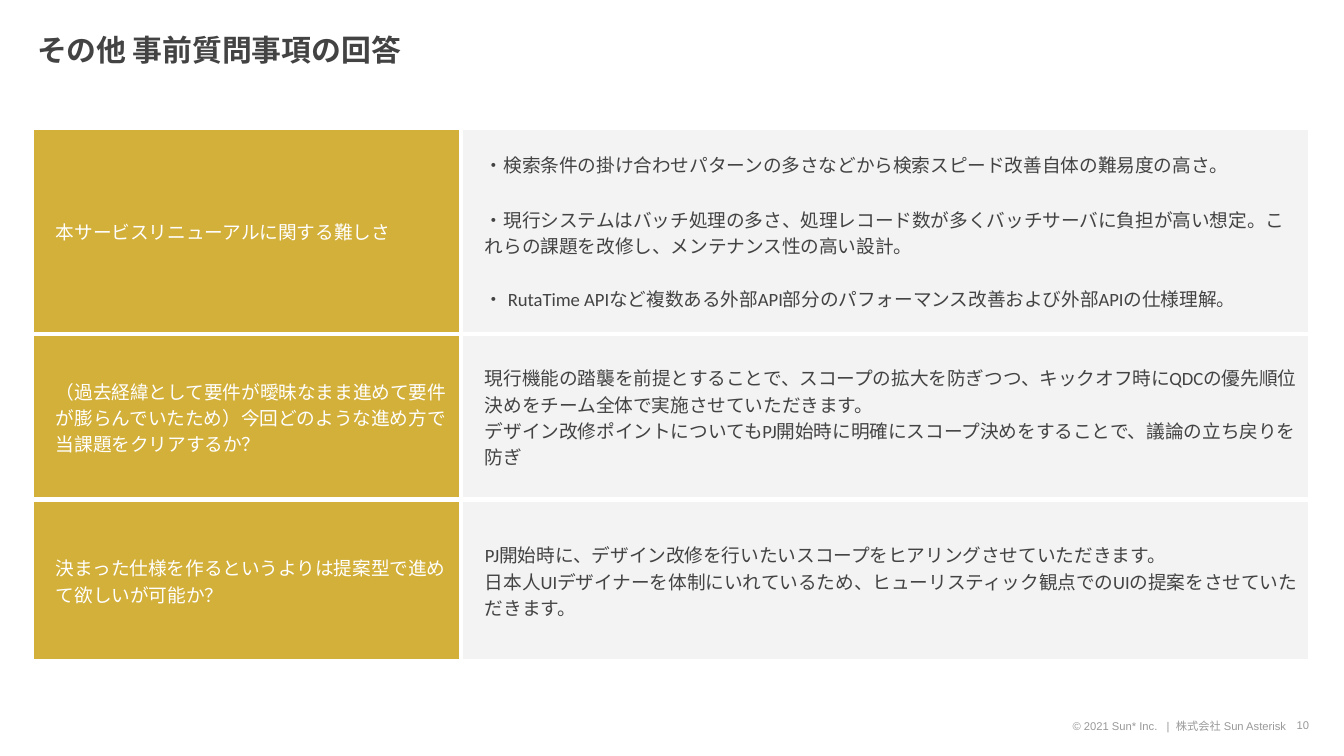
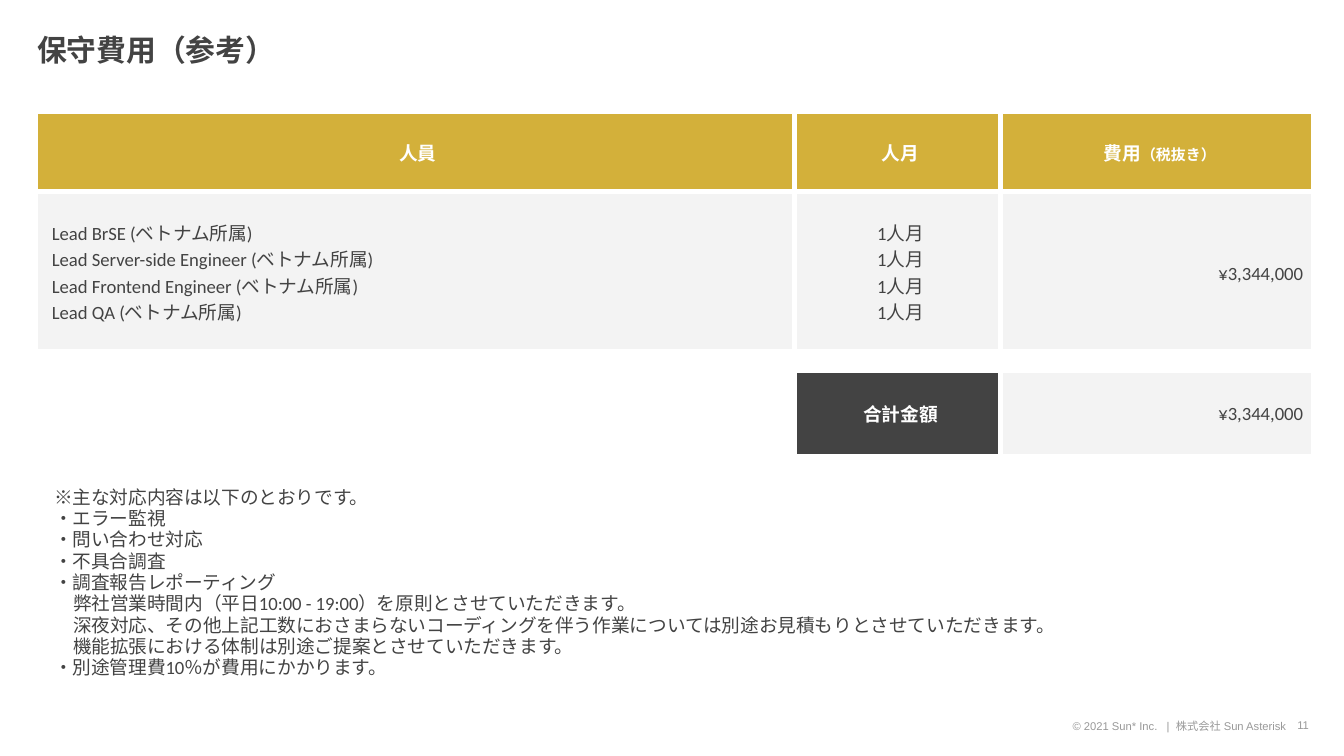
import pptx
import pptx.util
import pptx.dml.color
import pptx.enum.text
import pptx.oxml
import pptx.oxml.ns

EMU_PER_PX = 914400 / 134.4
GOLD, GREY, DARK, WHITE, FOOTER_GREY = "D3B03A", "F3F3F3", "434343", "FFFFFF", "999999"
ALIGN = pptx.enum.text.PP_ALIGN
MIDDLE = pptx.enum.text.MSO_ANCHOR.MIDDLE
TOP = pptx.enum.text.MSO_ANCHOR.TOP

BASE = {"font": "Calibri", "size": 10, "color": DARK, "bold": False,
        "align": ALIGN.LEFT, "line": 1.15, "before": 0, "indent": 0}
TITLE = {"size": 16, "bold": True, "line": 0.9}
FOOTER = {"font": "Arial", "size": 6, "color": FOOTER_GREY, "align": ALIGN.RIGHT}
HEAD = {"color": WHITE, "bold": True, "align": ALIGN.CENTER, "indent": 5}


def px(n):
    return pptx.util.Emu(round(n * EMU_PER_PX))


def rgb(value):
    return pptx.dml.color.RGBColor.from_string(value)


def add_run(p, text, f):
    r = p.add_run()
    r.text = text
    r.font.color.rgb = rgb(f["color"])
    values = {"name": f["font"], "size": pptx.util.Pt(f["size"]), "bold": f["bold"]}
    for name, value in values.items():
        setattr(r.font, name, value)
    for tag in ("a:ea", "a:cs"):
        el = pptx.oxml.parse_xml(f'<{tag} {pptx.oxml.ns.nsdecls("a")}/>')
        el.set("typeface", f["font"])
        r._r.get_or_add_rPr().append(el)


def write(tf, paragraphs, **style):
    for i, item in enumerate(paragraphs):
        para = item if isinstance(item, dict) else {"text": item}
        f = {**BASE, **style, **para}
        p = tf.paragraphs[0] if i == 0 else tf.add_paragraph()
        pPr = p._p.get_or_add_pPr()
        pPr.set("marL", str(px(f["indent"])))
        pPr.set("indent", "0")
        pPr.append(pptx.oxml.parse_xml(f'<a:buNone {pptx.oxml.ns.nsdecls("a")}/>'))
        values = {"alignment": f["align"], "line_spacing": f["line"],
                  "space_before": pptx.util.Pt(f["before"]), "space_after": pptx.util.Pt(0)}
        for name, value in values.items():
            setattr(p, name, value)
        add_run(p, f["text"], f)
        if "small" in f:
            add_run(p, f["small"], {**f, "size": 8})


def set_margins(target, x, y):
    for side, value in {"left": x, "right": x, "top": y, "bottom": y}.items():
        setattr(target, f"margin_{side}", px(value))


def fill_frame(sp, box, paragraphs, inset, anchor=MIDDLE, **style):
    for name, value in zip(("left", "top", "width", "height"), box):
        setattr(sp, name, px(value))
    tf = sp.text_frame
    values = {"word_wrap": True, "vertical_anchor": anchor,
              "auto_size": pptx.enum.text.MSO_AUTO_SIZE.NONE}
    for name, value in values.items():
        setattr(tf, name, value)
    set_margins(tf, *inset)
    write(tf, paragraphs, **style)


def add_label(s, box, text, inset, anchor):
    sp = s.shapes.add_textbox(0, 0, 0, 0)
    fill_frame(sp, box, [text], inset, anchor, **FOOTER)


def add_page(prs, layout, title, number):
    s = prs.slides.add_slide(prs.slide_layouts[layout])
    fill_frame(s.shapes.title, (24, 13, 1176, 77), [title], (13, 7), **TITLE)
    add_label(s, (1279, 712, 43, 23), str(number), (13, 7), MIDDLE)
    add_label(s, (1042, 704, 257, 39), "© 2021 Sun* Inc.   |  株式会社 Sun Asterisk", (13, 13), TOP)
    return s


def add_grid(s, left, top, widths, heights):
    frame = s.shapes.add_table(len(heights), len(widths), px(left), px(top),
                               px(sum(widths)), px(sum(heights)))
    table = frame.table
    table.first_row = table.horz_banding = False
    for column, width in zip(table.columns, widths):
        column.width = px(width)
    for row, height in zip(table.rows, heights):
        row.height = px(height)
    return table


def fill_cell(cell, background, paragraphs=(), inset=(11, 5), **style):
    tcPr = cell._tc.get_or_add_tcPr()
    for side in "LRTB":
        tcPr.append(pptx.oxml.parse_xml(
            f'<a:ln{side} {pptx.oxml.ns.nsdecls("a")} w="38100">'
            f'<a:solidFill><a:srgbClr val="{WHITE}"/></a:solidFill></a:ln{side}>'))
    cell.fill.solid()
    cell.fill.fore_color.rgb = rgb(background)
    cell.vertical_anchor = MIDDLE
    if paragraphs:
        set_margins(cell, *inset)
        write(cell.text_frame, paragraphs, **style)
    else:
        set_margins(cell, 0, 0)
        cell.text_frame.paragraphs[0]._p.get_or_add_endParaRPr().set("sz", "100")


def add_answers(prs):
    s = add_page(prs, 5, "その他 事前質問事項の回答", 10)
    answers = [
        ("本サービスリニューアルに関する難しさ",
         ["・検索条件の掛け合わせパターンの多さなどから検索スピード改善自体の難易度の高さ。",
          {"text": "・現行システムはバッチ処理の多さ、処理レコード数が多くバッチサーバに負担が高い想定。"
                   "これらの課題を改修し、メンテナンス性の高い設計。", "before": 16},
          {"text": "・ RutaTime APIなど複数ある外部API部分のパフォーマンス改善および外部APIの仕様理解。",
           "before": 14}]),
        ("（過去経緯として要件が曖昧なまま進めて要件が膨らんでいたため）"
         "今回どのような進め方で当課題をクリアするか？",
         ["現行機能の踏襲を前提とすることで、スコープの拡大を防ぎつつ、"
          "キックオフ時にQDCの優先順位決めをチーム全体で実施させていただきます。",
          "デザイン改修ポイントについてもPJ開始時に明確にスコープ決めをすることで、議論の立ち戻りを防ぎ"]),
        ("決まった仕様を作るというよりは提案型で進めて欲しいが可能か？",
         ["PJ開始時に、デザイン改修を行いたいスコープをヒアリングさせていただきます。",
          "日本人UIデザイナーを体制にいれているため、"
          "ヒューリスティック観点でのUIの提案をさせていただきます。"]),
    ]
    table = add_grid(s, 32, 128, (429, 849), (206, 166, 162))
    for i, (question, answer) in enumerate(answers):
        fill_cell(table.cell(i, 0), GOLD, [question], (13, 13), color=WHITE, indent=11)
        fill_cell(table.cell(i, 1), GREY, answer, (13, 13), indent=11)


def add_costs(prs):
    s = add_page(prs, 1, "保守費用（参考）", 11)
    roles = ["Lead BrSE", "Lead Server-side Engineer", "Lead Frontend Engineer", "Lead QA"]
    staff = [f"{role} (ベトナム所属)" for role in roles]
    price = ["¥3,344,000"]
    table = add_grid(s, 36, 112, (759, 206, 313), (80, 160, 19, 86))
    headings = ["人員", "人月", {"text": "費用", "small": "（税抜き）"}]
    for i, heading in enumerate(headings):
        fill_cell(table.cell(0, i), GOLD, [heading], **HEAD)
        fill_cell(table.cell(2, i), WHITE)
    fill_cell(table.cell(1, 0), GREY, staff, indent=5)
    fill_cell(table.cell(1, 1), GREY, ["1人月"] * len(staff), align=ALIGN.CENTER, indent=5)
    fill_cell(table.cell(1, 2), GREY, price, align=ALIGN.RIGHT)
    fill_cell(table.cell(3, 0), WHITE)
    fill_cell(table.cell(3, 1), DARK, ["合計金額"], **HEAD)
    fill_cell(table.cell(3, 2), GREY, price, align=ALIGN.RIGHT, line=1.0)

    details = ["弊社営業時間内（平日10:00 - 19:00）を原則とさせていただきます。",
               "深夜対応、その他上記工数におさまらないコーディングを伴う作業については"
               "別途お見積もりとさせていただきます。",
               "機能拡張における体制は別途ご提案とさせていただきます。"]
    notes = ["※主な対応内容は以下のとおりです。", "・エラー監視", "・問い合わせ対応",
             "・不具合調査", "・調査報告レポーティング",
             *({"text": detail, "indent": 19} for detail in details),
             "・別途管理費10％が費用にかかります。"]
    fill_frame(s.placeholders[1], (41, 469, 1266, 228), notes, (13, 13), line=0.95)


def main():
    prs = pptx.Presentation()
    prs.slide_width, prs.slide_height = px(1344), px(756)
    add_answers(prs)
    add_costs(prs)
    prs.save("out.pptx")


if __name__ == "__main__":
    main()
